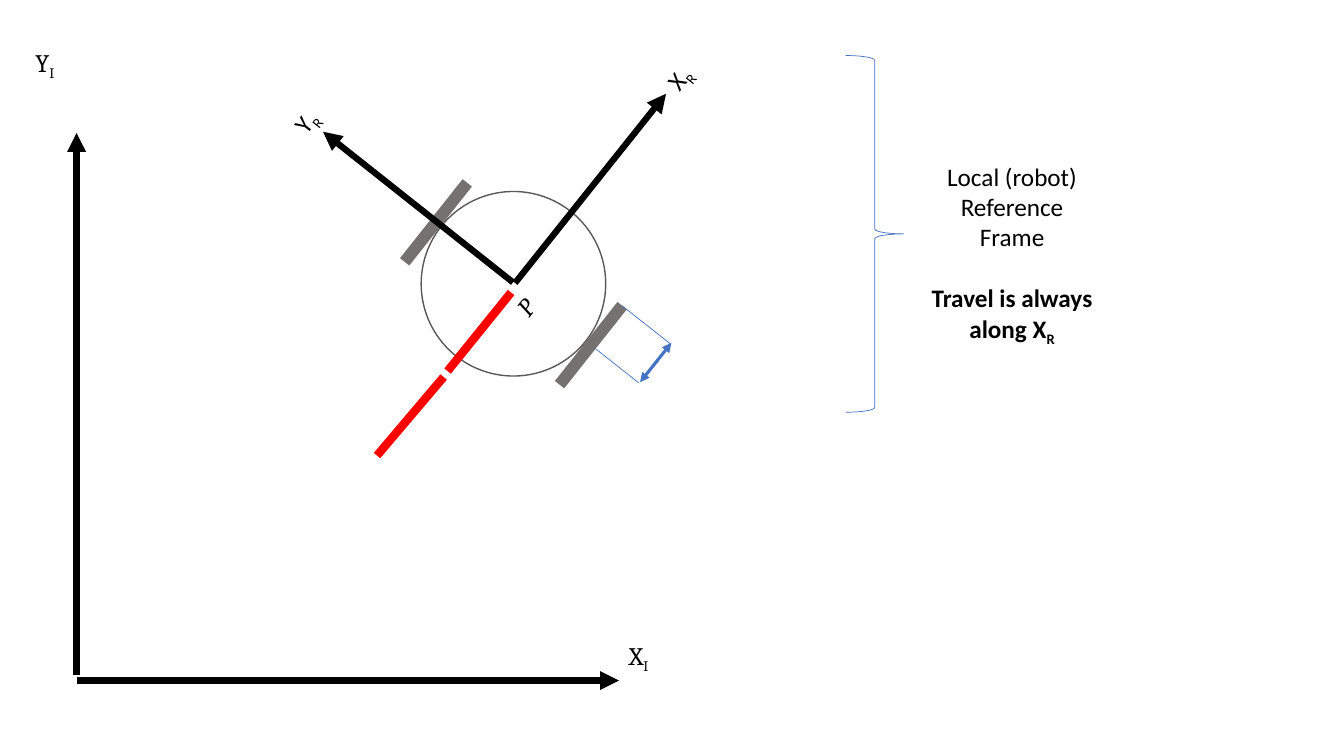
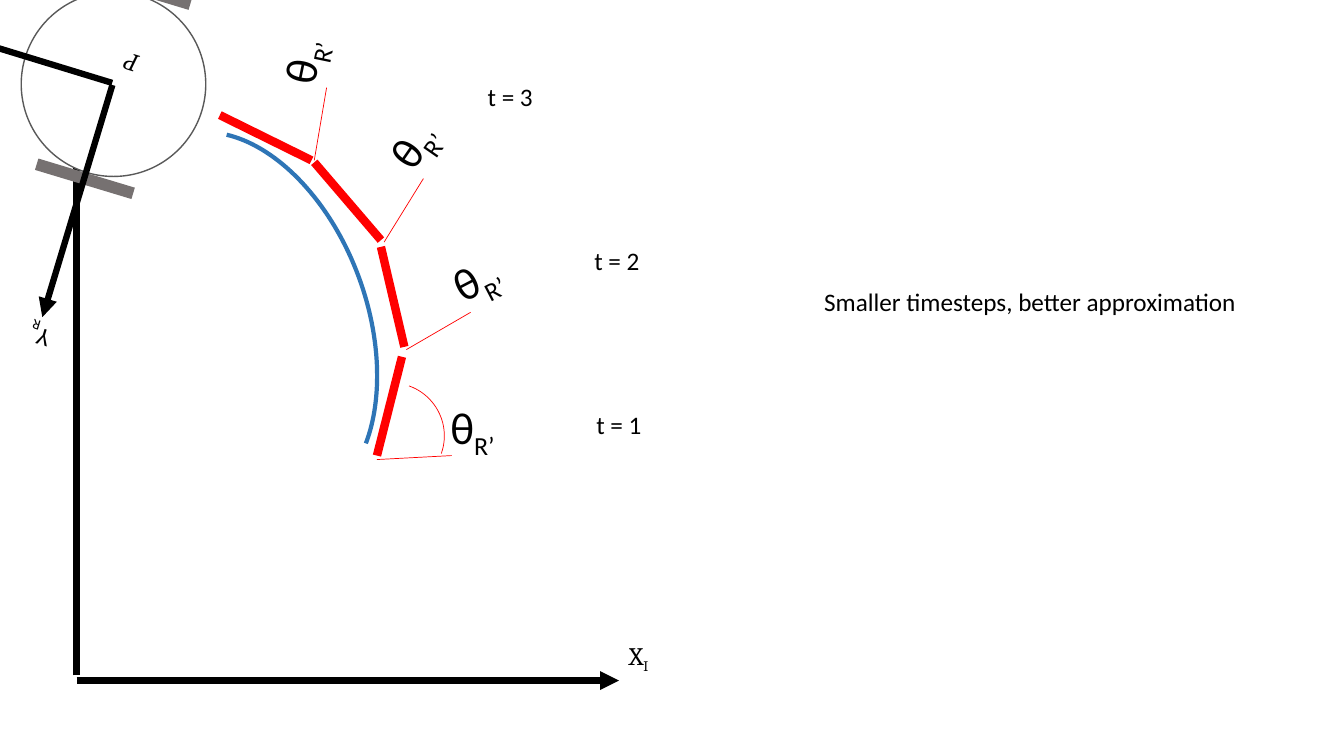
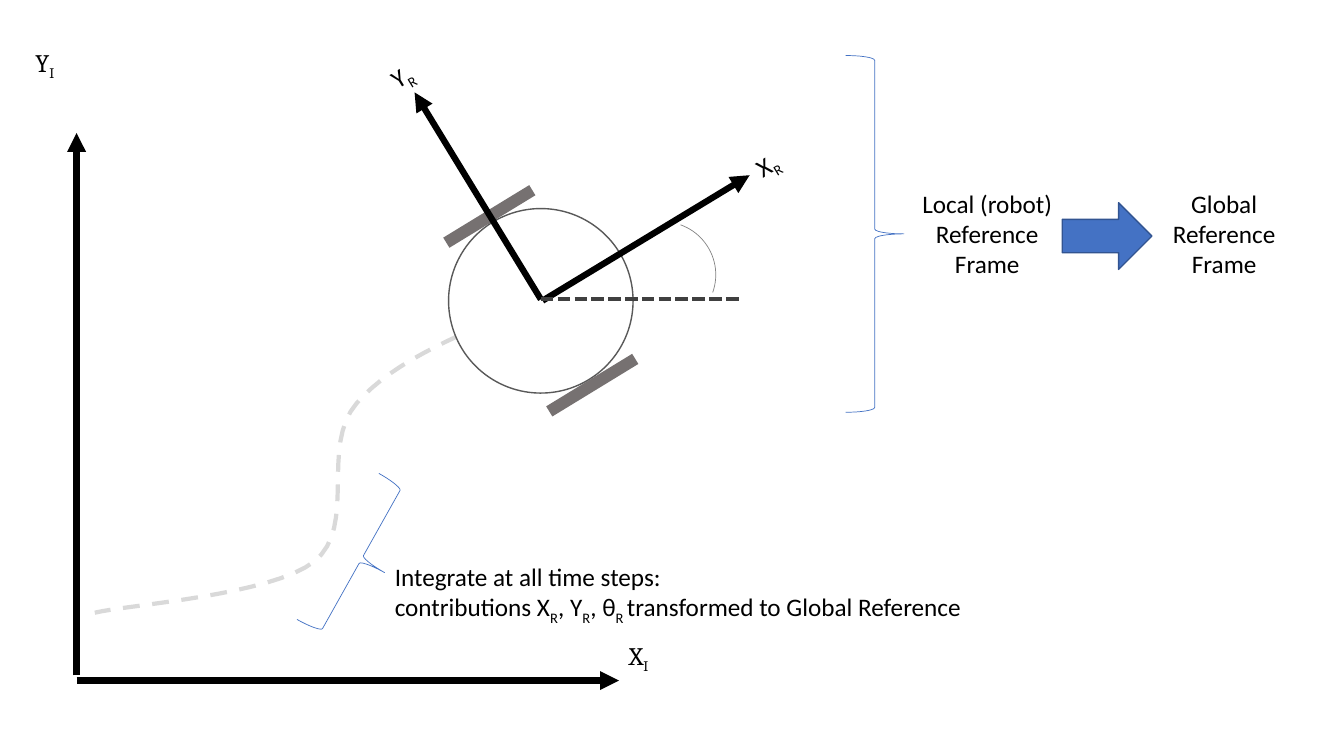
"""Builds three slides on a wheeled robot's local and global reference frames."""
import math
from dataclasses import dataclass

import lxml.etree
import pptx
import pptx.dml.color
import pptx.enum.dml
import pptx.enum.shapes
import pptx.enum.text
import pptx.oxml.ns
import pptx.util

Cm = pptx.util.Cm
Pt = pptx.util.Pt
SHAPE = pptx.enum.shapes.MSO_SHAPE
DASH = pptx.enum.dml.MSO_LINE
CENTER = pptx.enum.text.PP_ALIGN.CENTER


@dataclass(frozen=True)
class Theme:
    ink: str = "000000"
    paper: str = "FFFFFF"
    accent: str = "4472C4"
    accent_dark: str = "325491"
    curve: str = "2E75B6"
    step: str = "FF0000"
    wheel: str = "767171"
    body: str = "595959"
    angle: str = "848484"
    baseline: str = "404040"
    trail: str = "D9D9D9"
    sans: str = "Calibri"
    serif: str = "Cambria"
    text: int = 18
    theta: int = 32
    hair: float = 0.5
    outline: float = 1
    medium: float = 2.25
    thick: float = 3
    axis: float = 4.5
    bar: float = 6


T = Theme()


def rgb(value):
    """Return a colour object for a hex string."""
    return pptx.dml.color.RGBColor.from_string(value)


def set_line(line, color, width, dash=None):
    """Style a line."""
    line.color.rgb = rgb(color)
    line.width = Pt(width)
    if dash is not None:
        line.dash_style = dash


def add_line(s, start, end, color, width, dash=None, heads=()):
    """Draw a straight line with optional arrowheads."""
    c = s.shapes.add_connector(pptx.enum.shapes.MSO_CONNECTOR.STRAIGHT,
                               *(Cm(v) for v in (*start, *end)))
    set_line(c.line, color, width, dash)
    ln = c.line._get_or_add_ln()
    for head in heads:
        lxml.etree.SubElement(ln, pptx.oxml.ns.qn("a:" + head), type="triangle")
    lxml.etree.SubElement(c._element.spPr, pptx.oxml.ns.qn("a:effectLst"))


def add_arrow(s, start, end):
    """Draw a coordinate axis."""
    add_line(s, start, end, T.ink, T.axis, heads=["tailEnd"])


def add_shape(s, kind, box, fill=None, line=None, width=T.hair, rot=0):
    """Draw a preset shape."""
    sp = s.shapes.add_shape(kind, *(Cm(v) for v in box))
    sp.shadow.inherit = False
    sp.rotation = rot
    if fill:
        sp.fill.solid()
        sp.fill.fore_color.rgb = rgb(fill)
    else:
        sp.fill.background()
    if line:
        set_line(sp.line, line, width)
    else:
        sp.line.fill.background()
    return sp


def add_text(s, box, lines, size=T.text, font=T.sans, italic=None, align=None,
             wrap=True, rot=0):
    """Add a text box whose bars enclose subscripts, and return its paragraphs."""
    sp = s.shapes.add_textbox(*(Cm(v) for v in box))
    sp.rotation = rot
    tf = sp.text_frame
    tf.word_wrap = wrap
    tf.auto_size = pptx.enum.text.MSO_AUTO_SIZE.SHAPE_TO_FIT_TEXT
    for i, text in enumerate(lines):
        p = tf.add_paragraph() if i else tf.paragraphs[0]
        p.alignment = align
        p.font.size = Pt(size)
        p.font.name = font
        p.font.italic = italic
        p.font.color.rgb = rgb(T.ink)
        for j, part in enumerate(text.split("|")):
            if part:
                r = p.add_run()
                r.text = part
                if j % 2:
                    r._r.get_or_add_rPr().set("baseline", "-25000")
    return tf.paragraphs


def centered(center, width, height):
    """Return the box of a given size around a center."""
    return center[0] - width / 2, center[1] - height / 2, width, height


def add_global_frame(s, y_label=True):
    """Draw the global axes with their labels."""
    add_arrow(s, (1.93, 17.15), (15.6, 17.15))
    add_arrow(s, (1.93, 17.02), (1.93, 3.35))
    add_text(s, (15.6, 16, 2.64, 2.29), ["X|I|"], font=T.serif)
    if y_label:
        add_text(s, (0.64, 1.07, 2.64, 2.29), ["Y|I|"], font=T.serif)


def add_robot(s, center, rot, x_label=True, p_label=True):
    """Draw the robot with its local axes, turned by rot degrees."""
    cos, sin = math.cos(math.radians(rot)), math.sin(math.radians(rot))

    def place(x, y):
        return center[0] + x * cos - y * sin, center[1] + x * sin + y * cos

    add_shape(s, SHAPE.OVAL, centered(center, 4.65, 4.65), T.paper, T.body,
              T.outline, rot)
    for y in (-2.49, 2.49):
        add_shape(s, SHAPE.RECTANGLE, centered(place(0, y), 2.54, 0.3), T.wheel,
                  rot=rot)
    add_arrow(s, place(0.04, 0.02), place(6.14, 0.04))
    add_arrow(s, place(0.02, -0.03), place(0.02, -6.14))
    if x_label:
        add_text(s, centered(place(6.72, 0.03), 1.17, 1.02), ["X|R|"], rot=rot)
    add_text(s, centered(place(0.03, -6.66), 1.17, 1.02), ["Y|R|"], rot=rot)
    if p_label:
        add_text(s, centered(place(-0.04, 0.61), 1.32, 1.02), ["P"],
                 font=T.serif, italic=True, rot=rot)


def add_brace(s, box=(21.31, 1.4, 1.47, 8.99), rot=0):
    """Draw a right brace, by default the one beside the local frame."""
    add_shape(s, SHAPE.RIGHT_BRACE, box, line=T.accent, rot=rot)


def add_angle_arc(s, left, top, color):
    """Draw the arc that marks a heading angle."""
    add_shape(s, SHAPE.ARC, (left, top, 2.67, 2.67), line=color, rot=19.5)


def add_step(s, start, end):
    """Draw one straight step of travel."""
    add_line(s, start, end, T.step, T.bar)


def add_curve(s, start, segments, color, width, dash, pieces=16):
    """Draw a chain of cubic curves as one open outline."""
    points, p0 = [], start
    for p1, p2, p3 in segments:
        for i in range(1, pieces + 1):
            t = i / pieces
            weights = (1 - t) ** 3, 3 * t * (1 - t) ** 2, 3 * t * t * (1 - t), t ** 3
            points.append(tuple(
                Cm(sum(w * p[k] for w, p in zip(weights, (p0, p1, p2, p3))))
                for k in (0, 1)))
        p0 = p3
    builder = s.shapes.build_freeform(Cm(start[0]), Cm(start[1]))
    builder.add_line_segments(points, close=False)
    sp = builder.convert_to_shape()
    sp.shadow.inherit = False
    sp.fill.background()
    set_line(sp.line, color, width, dash)


def local_frame_slide(s):
    """Show travel along the robot's own axis."""
    add_global_frame(s)
    add_brace(s)
    add_robot(s, (12.94, 7.15), 308.4)
    add_line(s, (15.67, 7.7), (16.89, 8.66), T.accent, T.hair)
    add_line(s, (15.01, 8.79), (16.1, 9.65), T.accent, T.hair)
    add_line(s, (16.92, 8.64), (16.13, 9.63), T.accent, T.medium,
             heads=["headEnd", "tailEnd"])
    add_step(s, (9.5, 11.48), (11.18, 9.5))
    add_step(s, (11.28, 9.35), (12.88, 7.37))
    ps = add_text(s, (22.76, 3.94, 5.49, 4.88),
                  ["Local (robot)", "Reference", "Frame",
                   "Travel is always along X|R|"], align=CENTER)
    ps[-1].space_before = Pt(22)
    ps[-1].font.bold = True


def timestep_slide(s):
    """Show a curve approximated by straight steps."""
    add_global_frame(s, y_label=False)
    steps = [
        ((9.5, 11.48), (10.13, 8.99), (9.5, 11.58), (11.38, 11.48), (12.41, 10.77), 0),
        ((10.19, 8.74), (9.6, 6.22), (10.24, 8.81), (11.86, 7.87), (12.43, 6.76), 332.5),
        ((9.6, 6.05), (7.92, 4.09), (9.68, 6.1), (10.67, 4.5), (10.66, 3.23), 304.7),
        ((7.85, 4.04), (5.54, 2.9), (7.92, 4.04), (8.23, 2.21), (7.71, 1.04), 281.7),
    ]
    for start, end, ray_start, ray_end, label, rot in steps:
        add_step(s, start, end)
        add_line(s, ray_start, ray_end, T.step, T.hair)
        add_text(s, centered(label, 2.62, 1.63), ["θ|R’|"], size=T.theta, rot=rot)
    add_angle_arc(s, 8.53, 9.65, T.step)
    times = [(14.78, 10.19), (14.73, 6.05), (12.04, 1.93)]
    for n, (left, top) in enumerate(times, 1):
        add_text(s, (left, top, 1.68, 1.02), [f"t = {n}"], wrap=False)
    arc = add_shape(s, SHAPE.ARC, (3.07, 3.15, 6.17, 9.83), line=T.curve,
                    width=T.thick, rot=340)
    arc.adjustments[0], arc.adjustments[1] = 170.76, 39.23
    add_text(s, (20.52, 7.09, 11.02, 1.02),
             ["Smaller timesteps, better approximation"], wrap=False)
    add_robot(s, (2.86, 2.12), 196.8, x_label=False)


def global_frame_slide(s):
    """Show local contributions carried over to the global frame."""
    add_curve(s, (13.56, 7.62),
              [((11.73, 8.36), (9.93, 9.07), (8.99, 10.16)),
               ((8.05, 11.25), (9.02, 13.26), (7.92, 14.15)),
               ((6.83, 15.01), (3.2, 15.24), (2.39, 15.44))],
              T.trail, T.thick, DASH.DASH)
    add_robot(s, (13.63, 7.58), 328.6, p_label=False)
    add_global_frame(s)
    add_brace(s)
    for left, width, name in ((22.96, 3.84, "Local (robot)"), (29.29, 3.12, "Global")):
        add_text(s, (left, 4.62, width, 2.57), [name, "Reference", "Frame"],
                 align=CENTER, wrap=False)
    add_line(s, (13.63, 7.54), (18.62, 7.54), T.baseline, T.thick, DASH.SQUARE_DOT)
    add_angle_arc(s, 15.37, 5.59, T.angle)
    add_shape(s, SHAPE.RIGHT_ARROW, (26.77, 5.11, 2.26, 1.68), T.accent,
              T.accent_dark, T.outline)
    add_brace(s, (8.43, 11.99, 1.35, 4.22), 29.3)
    add_text(s, (9.7, 14.02, 17.7, 1.8),
             ["Integrate at all time steps:",
              "contributions X|R|, Y|R|, θ|R |transformed to Global Reference"])


def main():
    """Build and save the presentation."""
    prs = pptx.Presentation()
    prs.slide_width, prs.slide_height = Cm(33.87), Cm(19.05)
    for build in (local_frame_slide, timestep_slide, global_frame_slide):
        build(prs.slides.add_slide(prs.slide_layouts[6]))
    prs.save("out.pptx")


if __name__ == "__main__":
    main()
